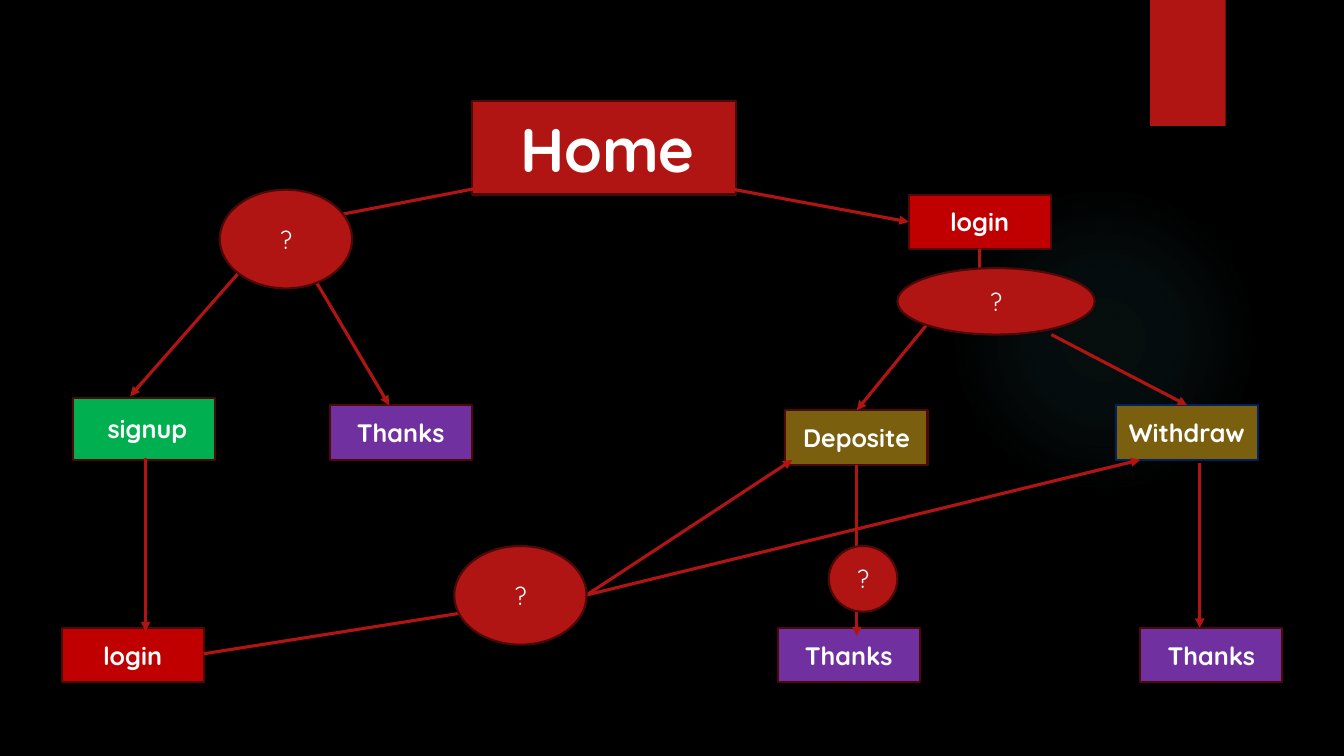
"""Builds a slide with the page flow of a banking site."""
from lxml import etree
from pptx import Presentation
from pptx.dml.color import RGBColor
from pptx.enum.shapes import MSO_CONNECTOR, MSO_SHAPE
from pptx.enum.text import MSO_ANCHOR, PP_ALIGN
from pptx.oxml import parse_xml
from pptx.oxml.ns import nsdecls, qn
from pptx.util import Pt

RECTANGLE = MSO_SHAPE.RECTANGLE
OVAL = MSO_SHAPE.OVAL
STRAIGHT = MSO_CONNECTOR.STRAIGHT
MIDDLE = MSO_ANCHOR.MIDDLE
CENTER = PP_ALIGN.CENTER

BLACK = RGBColor(0x00, 0x00, 0x00)
WHITE = RGBColor(0xFF, 0xFF, 0xFF)
RED = RGBColor(0xB0, 0x15, 0x13)
DARK_RED = RGBColor(0x4D, 0x09, 0x08)
LOGIN_RED = RGBColor(0xC0, 0x00, 0x00)
GREEN = RGBColor(0x00, 0xB0, 0x50)
PURPLE = RGBColor(0x70, 0x30, 0xA0)
BROWN = RGBColor(0x79, 0x5F, 0x0E)
NAVY = RGBColor(0x00, 0x20, 0x60)
TEAL = RGBColor(0x50, 0xB9, 0xC1)

FONT = "Quicksand"
PAGE_WIDTH = 101.5
PAGE_HEIGHT = 39
GLOW_STOPS = [(0, 7), (36, 6), (69, 0)]

PAGES = [
    ("login", 649, 139, PAGE_HEIGHT, LOGIN_RED, DARK_RED),
    ("login", 44, 448.5, PAGE_HEIGHT, LOGIN_RED, DARK_RED),
    (" signup", 52, 284, 44.5, GREEN, DARK_RED),
    ("Withdraw", 797, 289.5, PAGE_HEIGHT, BROWN, NAVY),
    ("Thanks", 235.5, 289.5, PAGE_HEIGHT, PURPLE, DARK_RED),
    ("Deposite", 561, 293, PAGE_HEIGHT, BROWN, DARK_RED),
    ("Thanks", 555.5, 448.5, PAGE_HEIGHT, PURPLE, DARK_RED),
    ("Thanks", 814.5, 448.5, PAGE_HEIGHT, PURPLE, DARK_RED),
]
ARROWS = [
    (857, 331, 857, 448.5),
    (173.5, 191.5, 93, 283),
    (104, 327.5, 104, 451),
    (525, 135.5, 649, 158.5),
    (223, 196.5, 278, 289.5),
    (419, 425, 566, 328.5),
    (661.5, 232.5, 612, 293),
    (751, 239, 848, 289.5),
    (612, 332, 612, 454.5),
    (338, 135, 229, 156),
    (419, 425, 814.5, 328.5),
    (145.5, 467, 335, 437),
    (699.5, 178, 699.5, 204),
]
DECISIONS = [
    (157, 135.5, 94.5, 70.5),
    (641, 191.5, 141, 47.5),
    (324.5, 390, 94.5, 70.5),
    (592, 390, 49, 47),
]


def write(shape, text, size=18, bold=False, color=WHITE):
    """Add a centred run of text to a shape."""
    frame = shape.text_frame
    frame.word_wrap = True
    frame.vertical_anchor = MIDDLE
    paragraph = frame.paragraphs[0]
    paragraph.alignment = CENTER
    run = paragraph.add_run()
    run.text = text
    run.font.name = FONT
    run.font.size = Pt(size)
    run.font.bold = bold
    run.font.color.rgb = color


def add_node(slide, kind, left, top, width, height, fill=RED, outline=DARK_RED):
    """Add a filled shape, outlined unless outline is None."""
    node = slide.shapes.add_shape(kind, Pt(left), Pt(top), Pt(width), Pt(height))
    node.shadow.inherit = False
    node.fill.solid()
    node.fill.fore_color.rgb = fill
    if outline is None:
        node.line.fill.background()
    else:
        node.line.color.rgb = outline
        node.line.width = Pt(1.5)
    return node


def add_glow(slide, left, top, diameter):
    """Add a faint disc that fades towards its edge."""
    glow = add_node(slide, OVAL, left, top, diameter, diameter, TEAL, None)
    stops = "".join(
        f'<a:gs pos="{position * 1000}"><a:srgbClr val="{TEAL}">'
        f'<a:alpha val="{alpha * 1000}"/></a:srgbClr></a:gs>'
        for position, alpha in GLOW_STOPS
    )
    gradient = parse_xml(
        f'<a:gradFill {nsdecls("a")} rotWithShape="1"><a:gsLst>{stops}</a:gsLst>'
        '<a:path path="circle"><a:fillToRect l="50000" t="50000" r="50000" b="50000"/>'
        "</a:path></a:gradFill>"
    )
    properties = glow.element.spPr
    properties.replace(properties.find(qn("a:solidFill")), gradient)


def add_arrow(slide, start_x, start_y, end_x, end_y):
    """Add a straight arrow that points at its end."""
    arrow = slide.shapes.add_connector(
        STRAIGHT, Pt(start_x), Pt(start_y), Pt(end_x), Pt(end_y)
    )
    arrow.line.color.rgb = RED
    arrow.line.width = Pt(2.25)
    properties = arrow.element.spPr
    outline = properties.find(qn("a:ln"))
    etree.SubElement(outline, qn("a:tailEnd"), type="triangle")
    etree.SubElement(properties, qn("a:effectLst"))


def main():
    """Build the slide and save it."""
    deck = Presentation()
    deck.slide_width, deck.slide_height = Pt(960), Pt(540)
    slide = deck.slides.add_slide(deck.slide_layouts[6])
    slide.background.fill.solid()
    slide.background.fill.fore_color.rgb = BLACK

    add_glow(slide, 677.5, 132, 221.5)
    add_node(slide, RECTANGLE, 821.5, 0, 54, 90, outline=None)

    home = add_node(slide, RECTANGLE, 337.5, 72, 188, 67)
    write(home, " ")
    write(home, "Home", size=44, bold=True)

    for name, left, top, height, fill, outline in PAGES:
        page = add_node(slide, RECTANGLE, left, top, PAGE_WIDTH, height, fill, outline)
        write(page, name, bold=True)
    for ends in ARROWS:
        add_arrow(slide, *ends)
    for bounds in DECISIONS:
        write(add_node(slide, OVAL, *bounds), "?")

    deck.save("out.pptx")


if __name__ == "__main__":
    main()
